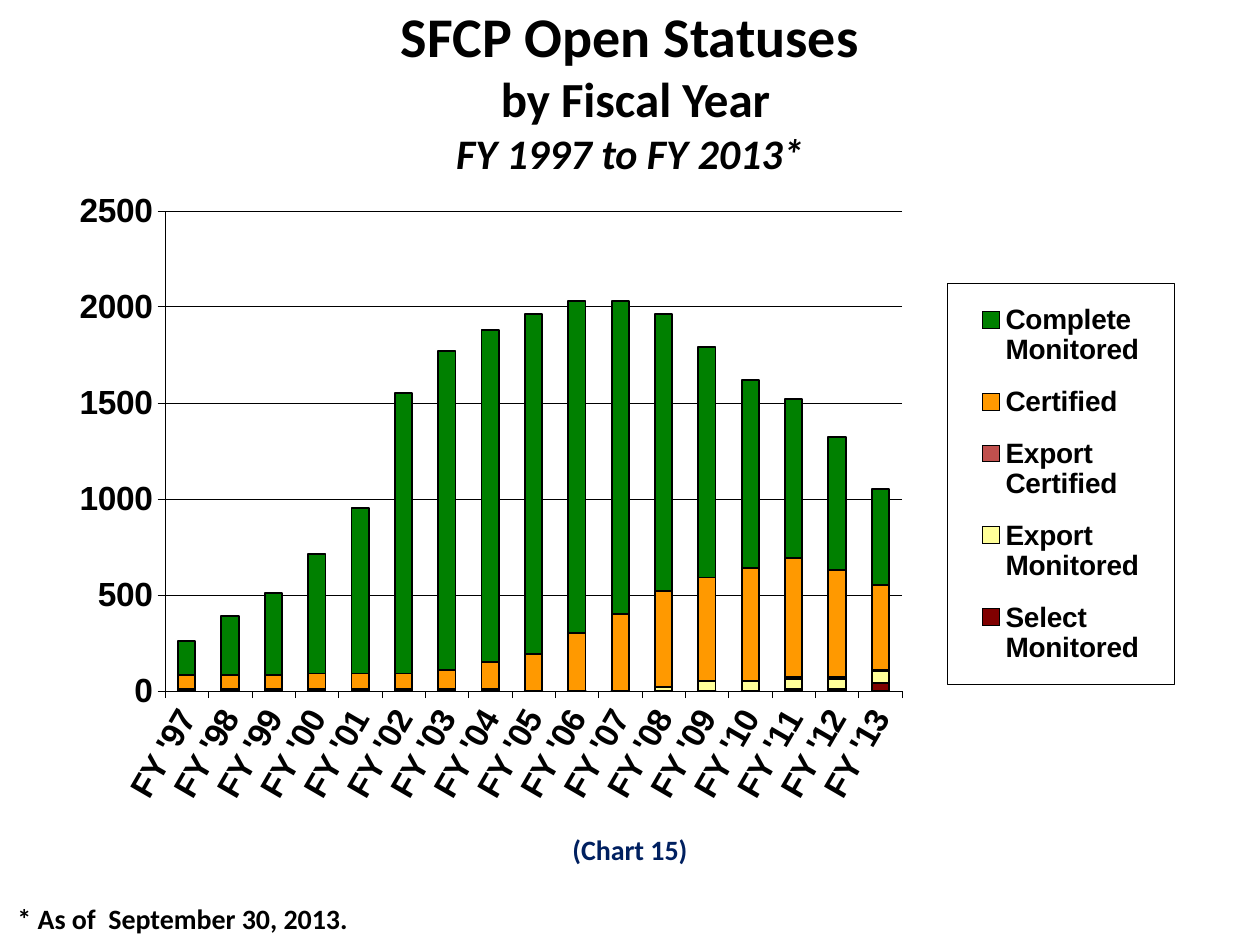
from lxml import etree
from pptx import Presentation
from pptx.chart.data import CategoryChartData
from pptx.dml.color import RGBColor
from pptx.enum.chart import XL_CHART_TYPE, XL_LEGEND_POSITION, XL_TICK_LABEL_POSITION, XL_TICK_MARK
from pptx.enum.text import MSO_ANCHOR, PP_ALIGN
from pptx.oxml.ns import qn
from pptx.util import Inches, Pt

BLACK = RGBColor(0x00, 0x00, 0x00)
NAVY = RGBColor(0x00, 0x20, 0x60)
MAROON = RGBColor(0x80, 0x00, 0x00)
YELLOW = RGBColor(0xFF, 0xFF, 0x99)
RED = RGBColor(0xC0, 0x50, 0x4D)
ORANGE = RGBColor(0xFF, 0x99, 0x00)
GREEN = RGBColor(0x00, 0x80, 0x00)

# text, size, italic
TITLE_LINES = [
    ("SFCP Open Statuses", 32, False),
    (" by Fiscal Year", 28, False),
    ("FY 1997 to FY 2013*", 24, True),
]
CHART_NUMBER = "(Chart 15)"
FOOTNOTE = "* As of  September 30, 2013."

FISCAL_YEARS = [f"FY '{year % 100:02d}" for year in range(1997, 2014)]
STATUSES = [
    ("Select Monitored", MAROON, [10] * 8 + [0] * 6 + [10, 10, 40]),
    ("Export Monitored", YELLOW, [0] * 11 + [20, 50, 50, 50, 50, 60]),
    ("Export Certified", RED, [0] * 14 + [10, 10, 10]),
    ("Certified", ORANGE, [70, 70, 70, 80, 80, 80, 100, 140, 190, 300, 400,
                           500, 540, 590, 620, 560, 440]),
    ("Complete Monitored", GREEN, [180, 310, 430, 620, 860, 1460, 1660, 1730, 1770,
                                   1730, 1630, 1440, 1200, 980, 830, 690, 500]),
]
PLOT_AREA = (0.09, 0.06, 0.65, 0.73)
LEGEND_AREA = (0.78, 0.17, 0.2, 0.61)


def style_font(font, size, name="Arial", color=BLACK):
    font.size = Pt(size)
    font.name = name
    font.bold = True
    font.color.rgb = color


def style_line(line, width):
    line.color.rgb = BLACK
    line.width = Pt(width)


def add_text(slide, area, lines, align, color=BLACK, anchor=MSO_ANCHOR.TOP):
    frame = slide.shapes.add_textbox(*map(Inches, area)).text_frame
    frame.word_wrap = True
    frame.vertical_anchor = anchor
    paragraph = frame.paragraphs[0]
    paragraph.text = "\v".join(text for text, _, _ in lines)
    paragraph.alignment = align
    for run, (_, size, italic) in zip(paragraph.runs, lines):
        style_font(run.font, size, "Calibri", color)
        run.font.italic = italic


def set_layout(parent, position, area, inner=False):
    """Place a chart part by fractions of the chart: x, y, width, height."""
    for old in parent.findall(qn("c:layout")):
        parent.remove(old)
    layout = etree.Element(qn("c:layout"))
    manual = etree.SubElement(layout, qn("c:manualLayout"))
    settings = [("layoutTarget", "inner")] if inner else []
    settings += [("xMode", "edge"), ("yMode", "edge"), *zip("xywh", area)]
    for tag, value in settings:
        etree.SubElement(manual, qn(f"c:{tag}")).set("val", str(value))
    parent.insert(position, layout)


def add_status_chart(slide):
    data = CategoryChartData()
    data.categories = FISCAL_YEARS
    for name, _, values in STATUSES:
        data.add_series(name, values)
    chart = slide.shapes.add_chart(
        XL_CHART_TYPE.COLUMN_STACKED, Inches(0.5), Inches(1.36), Inches(9), Inches(5.22), data
    ).chart
    chart.has_title = False
    style_font(chart.font, 19.1, "Times New Roman")

    plot = chart.plots[0]
    plot.gap_width = 150
    plot.overlap = 100
    plot.vary_by_categories = False
    for series, (_, color, _) in zip(plot.series, STATUSES):
        series.format.fill.solid()
        series.format.fill.fore_color.rgb = color
        style_line(series.format.line, 1.06)

    years, counts = chart.category_axis, chart.value_axis
    for axis in (years, counts):
        style_font(axis.tick_labels.font, 19.1)
        style_line(axis.format.line, 0.25)
        axis.major_tick_mark = XL_TICK_MARK.OUTSIDE
        axis.minor_tick_mark = XL_TICK_MARK.NONE
    years.tick_label_position = XL_TICK_LABEL_POSITION.LOW
    label_body = years._element.find(qn("c:txPr")).find(qn("a:bodyPr"))
    label_body.set("rot", str(-60 * 60000))
    label_body.set("vert", "horz")
    counts.minimum_scale, counts.maximum_scale, counts.major_unit = 0, 2500, 500
    counts.has_major_gridlines = True
    style_line(counts.major_gridlines.format.line, 0.25)

    chart.has_legend = True
    legend = chart.legend
    legend.position = XL_LEGEND_POSITION.RIGHT
    legend.include_in_layout = False
    style_font(legend.font, 16)
    set_layout(legend._element, 1, LEGEND_AREA)
    border = etree.Element(qn("c:spPr"))
    line = etree.SubElement(border, qn("a:ln"), w=str(Pt(0.25)))
    fill = etree.SubElement(line, qn("a:solidFill"))
    etree.SubElement(fill, qn("a:srgbClr"), val=str(BLACK))
    legend._element.find(qn("c:txPr")).addprevious(border)
    set_layout(plot._element.getparent(), 0, PLOT_AREA, inner=True)


def main():
    presentation = Presentation()
    presentation.slide_width, presentation.slide_height = Inches(10), Inches(7.5)
    slide = presentation.slides.add_slide(presentation.slide_layouts[6])
    add_text(slide, (0.04, 7.11, 3.75, 0.37), [(FOOTNOTE, 16, False)], PP_ALIGN.LEFT)
    add_text(slide, (0, 6.56, 10, 0.37), [(CHART_NUMBER, 16, False)], PP_ALIGN.CENTER, NAVY)
    add_status_chart(slide)
    add_text(slide, (0.75, 0, 8.5, 1.42), TITLE_LINES, PP_ALIGN.CENTER, anchor=MSO_ANCHOR.MIDDLE)
    presentation.save("out.pptx")


if __name__ == "__main__":
    main()
